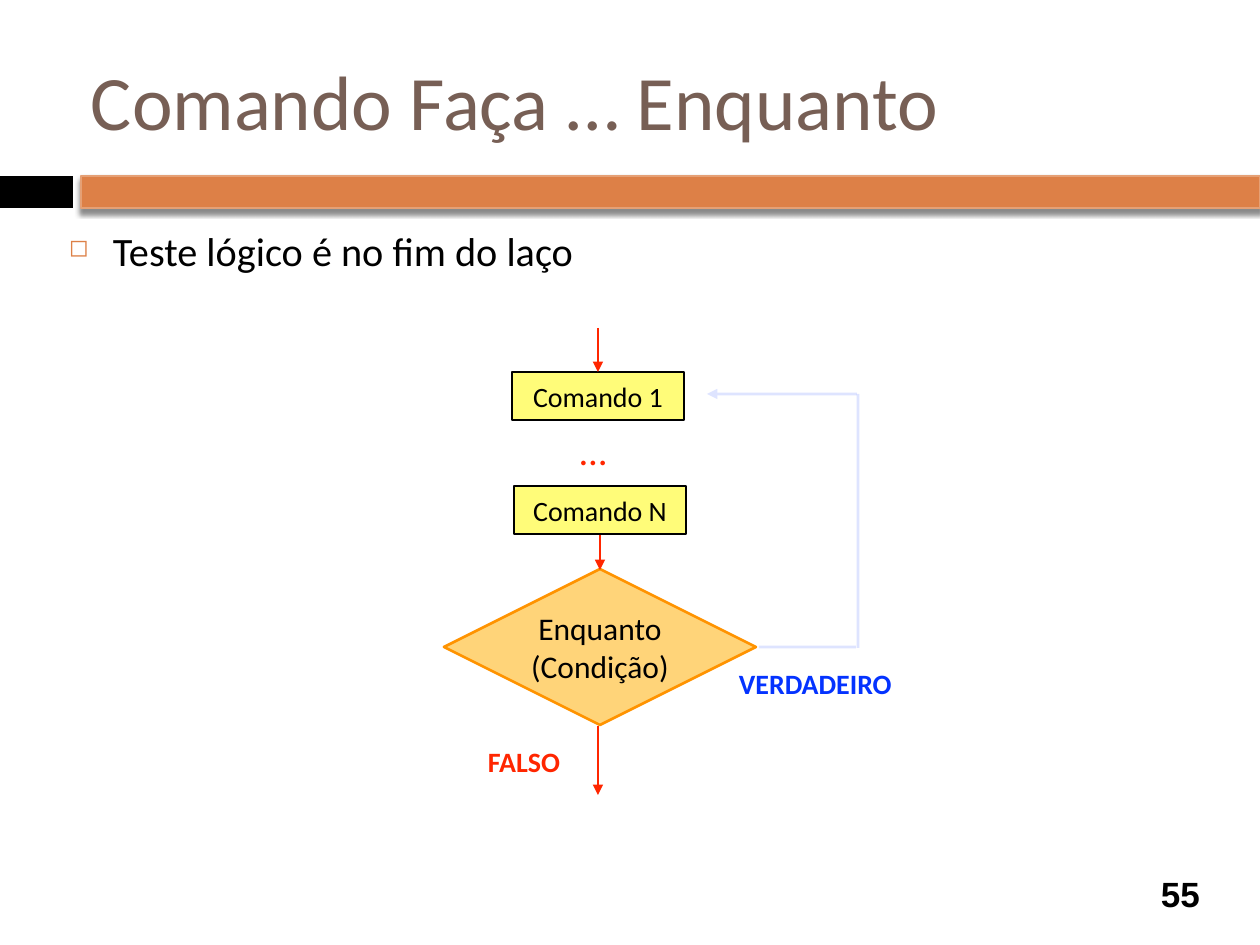
from lxml import etree
from pptx import Presentation
from pptx.dml.color import RGBColor
from pptx.enum.shapes import MSO_CONNECTOR, MSO_SHAPE
from pptx.enum.text import MSO_ANCHOR, MSO_AUTO_SIZE, PP_ALIGN
from pptx.oxml.ns import qn
from pptx.util import Pt

RECT, DIAMOND = MSO_SHAPE.RECTANGLE, MSO_SHAPE.DIAMOND
LEFT, CENTER = PP_ALIGN.LEFT, PP_ALIGN.CENTER
TOP, MIDDLE = MSO_ANCHOR.TOP, MSO_ANCHOR.MIDDLE
FIXED, STRAIGHT = MSO_AUTO_SIZE.NONE, MSO_CONNECTOR.STRAIGHT
PX = 914400 / 126
COLORS = {
    "black": "000000", "brown": "775F55", "bar": "DD8047", "edge": "E5A075",
    "yellow": "FFFC79", "sand": "FFD479", "orange": "FF9300",
    "red": "FF2600", "blue": "0433FF",
}
RGB = {name: RGBColor.from_string(code) for name, code in COLORS.items()}


def px(*nums):
    return [round(n * PX) for n in nums]


def write(shape, text, size, color, align=LEFT, anchor=TOP, bold=False, wrap=True,
          face="Calibri", bullet=None):
    frame = shape.text_frame
    frame.auto_size = FIXED
    frame.word_wrap = wrap
    frame.vertical_anchor = anchor
    frame.margin_left = frame.margin_right = frame.margin_top = frame.margin_bottom = px(6)[0]
    frame.text = text
    for para in frame.paragraphs:
        para.alignment = align
        if bullet:
            props = para._p.get_or_add_pPr()
            props.set("marL", str(px(44)[0]))
            props.set("indent", str(px(-44)[0]))
            tint = etree.SubElement(props, qn("a:buClr"))
            etree.SubElement(tint, qn("a:srgbClr"), val=COLORS["bar"])
            etree.SubElement(props, qn("a:buSzPct"), val="60000")
            etree.SubElement(props, qn("a:buChar"), char=bullet)
        para.font.size = Pt(size)
        para.font.name = face
        para.font.bold = bold
        para.font.color.rgb = RGB[color]


prs = Presentation()
prs.slide_width, prs.slide_height = px(1260, 945)
slide = prs.slides.add_slide(prs.slide_layouts[5])
shapes = slide.shapes

title = shapes.title
title.left, title.top, title.width, title.height = px(85, 32, 1124, 136)
write(title, "Comando Faça … Enquanto", 44, "brown", anchor=MIDDLE)

blocks = [
    (RECT, (0, 176, 73, 32), "black", None, "", 0),
    (RECT, (81, 176, 1179, 32), "bar", "edge", "", 0),
    (DIAMOND, (444, 569, 312, 156), "sand", "orange", "Enquanto\n(Condição)", 18),
    (RECT, (512, 372, 172, 48), "yellow", "black", "Comando 1", 16),
    (RECT, (514, 486, 172, 48), "yellow", "black", "Comando N", 16),
]
for kind, box, fill, edge, text, size in blocks:
    block = shapes.add_shape(kind, *px(*box))
    block.shadow.inherit = False
    block.fill.solid()
    block.fill.fore_color.rgb = RGB[fill]
    if edge:
        block.line.color.rgb = RGB[edge]
        block.line.width = Pt(1.5)
    else:
        block.line.fill.background()
    if text:
        write(block, text, size, "black", CENTER, MIDDLE)
    if fill == "bar":
        glow = etree.SubElement(
            block._element.spPr.find(qn("a:effectLst")), qn("a:outerShdw"),
            blurRad=str(Pt(3)), dist=str(Pt(2.4)), dir="5400000", rotWithShape="0")
        tint = etree.SubElement(glow, qn("a:srgbClr"), val=COLORS["black"])
        etree.SubElement(tint, qn("a:alpha"), val="45000")

body = shapes.add_textbox(*px(63, 220, 1134, 82))
write(body, "Teste lógico é no fim do laço", 23, "black", bullet="◻")

labels = [
    ((574, 421, 53, 54), "…", 22, "red", False),
    ((482, 739, 91, 44), "FALSO", 16, "red", True),
    ((733, 661, 171, 44), "VERDADEIRO", 16, "blue", True),
]
for box, text, size, color, bold in labels:
    write(shapes.add_textbox(*px(*box)), text, size, color, bold=bold, wrap=False)

number = shapes.add_textbox(*px(1144, 868, 73, 52))
write(number, "55", 20, "black", CENTER, MIDDLE, True, face="Arial")

lines = [
    ((707, 394, 857, 394), "blue", "a:headEnd"),
    ((858, 394, 858, 648), "blue", None),
    ((856, 647, 759, 647), "blue", None),
    ((598, 328, 598, 372), "red", "a:tailEnd"),
    ((600, 535, 600, 570), "red", "a:tailEnd"),
    ((598, 726, 598, 795), "red", "a:tailEnd"),
]
for ends, color, tip in lines:
    line = shapes.add_connector(STRAIGHT, *px(*ends))
    line.line.color.rgb = RGB[color]
    line.line.width = Pt(1.5)
    stroke = line.line._get_or_add_ln()
    if color == "blue":
        etree.SubElement(stroke.find(".//" + qn("a:srgbClr")), qn("a:alpha"), val="13000")
    if tip:
        etree.SubElement(stroke, qn(tip), type="triangle")
    etree.SubElement(line._element.spPr, qn("a:effectLst"))

prs.save("out.pptx")
